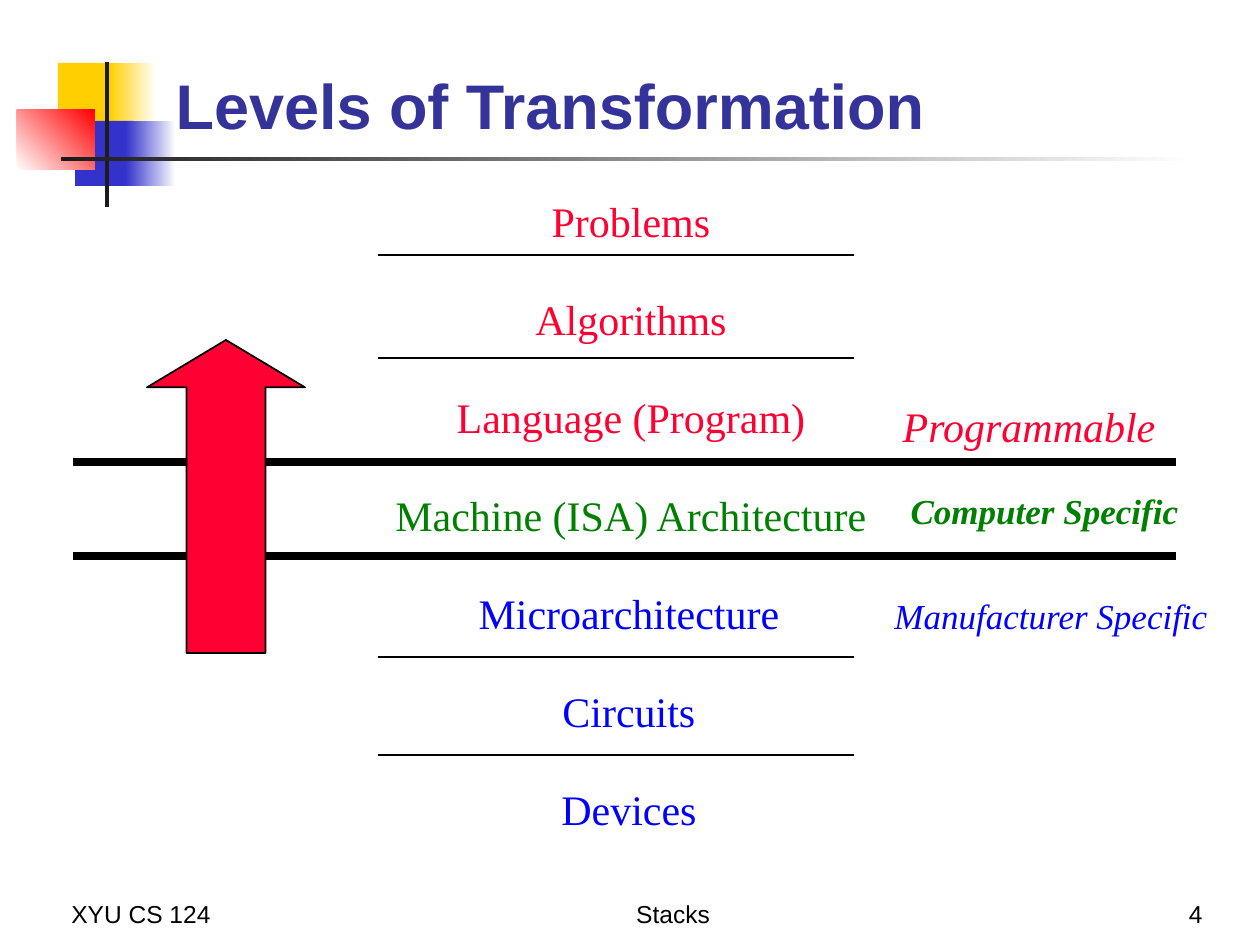
from lxml import etree
from pptx import Presentation
from pptx import util as u
from pptx.dml.color import RGBColor
from pptx.enum import shapes, text
from pptx.oxml import ns

HUES = {
    "black": "000000", "white": "FFFFFF", "gold": "FFCF01", "navy": "3333CC",
    "red": "FF0000", "ink": "1C1C1C", "title": "333399",
    "rose": "FF0033", "green": "008000", "blue": "0000FF",
}
SERIF = "Times New Roman"
LEFT, MID, RIGHT = text.PP_ALIGN.LEFT, text.PP_ALIGN.CENTER, text.PP_ALIGN.RIGHT


def px(n):
    """Turn pixels into EMU."""
    return u.Emu(round(n * 914400 / 126))


def hue(name):
    """Look up a colour by name."""
    return RGBColor.from_string(HUES[name])


def write(frame, words, size, tint, face="Arial", align=LEFT, bold=False, slant=False):
    """Put one formatted run in a text frame."""
    para = frame.paragraphs[0]
    para.alignment = align
    run = para.add_run()
    run.text = words
    font = run.font
    font.name, font.size, font.bold, font.italic = face, u.Pt(size), bold, slant
    font.color.rgb = hue(tint)


def block(slide, box, tint, end=None, angle=0):
    """Draw a plain or graded rectangle without outline."""
    shape = slide.shapes.add_shape(shapes.MSO_SHAPE.RECTANGLE, *map(px, box))
    shape.shadow.inherit = False
    shape.line.fill.background()
    if end is None:
        shape.fill.solid()
        shape.fill.fore_color.rgb = hue(tint)
        return
    shape.fill.gradient()
    shape.fill.gradient_angle = angle
    for stop, name, spot in zip(shape.fill.gradient_stops, (tint, end), (0, 1)):
        stop.color.rgb = hue(name)
        stop.position = spot


def rule(slide, left, right, y, width):
    """Draw a horizontal black line."""
    line = slide.shapes.add_connector(
        shapes.MSO_CONNECTOR.STRAIGHT, px(left), px(y), px(right), px(y))
    line.line.color.rgb = hue("black")
    line.line.width = u.Pt(width)
    etree.SubElement(line._element.spPr, ns.qn("a:effectLst"))


def label(slide, box, words, size, tint, bold=False, slant=False):
    """Add a centred serif label that fits its text."""
    frame = slide.shapes.add_textbox(*map(px, box)).text_frame
    frame.word_wrap = False
    frame.auto_size = text.MSO_AUTO_SIZE.SHAPE_TO_FIT_TEXT
    write(frame, words, size, tint, SERIF, MID, bold, slant)


def foot(slide, left, width, words, align):
    """Add a footer text at the bottom of the slide."""
    frame = slide.shapes.add_textbox(px(left), px(872), px(width), px(63)).text_frame
    frame.word_wrap = True
    frame.vertical_anchor = text.MSO_ANCHOR.BOTTOM
    write(frame, words, 14, "black", align=align)


def head(slide, words):
    """Place and fill the title."""
    title = slide.shapes.title
    title.left, title.top, title.width, title.height = map(px, (163, 28, 1074, 120))
    frame = title.text_frame
    frame.auto_size = text.MSO_AUTO_SIZE.NONE
    frame.vertical_anchor = text.MSO_ANCHOR.BOTTOM
    write(frame, words, 36, "title", bold=True)


def arrow(slide, box):
    """Draw the upward arrow across the levels."""
    shape = slide.shapes.add_shape(shapes.MSO_SHAPE.UP_ARROW, *map(px, box))
    shape.adjustments[0], shape.adjustments[1] = 0.5, 0.3
    shape.shadow.inherit = False
    shape.fill.solid()
    shape.fill.fore_color.rgb = hue("rose")
    shape.line.color.rgb = hue("black")
    shape.line.width = u.Pt(1)


def decor(slide):
    """Draw the coloured blocks and bars around the title."""
    block(slide, (58, 63, 60, 65), "gold")
    block(slide, (110, 63, 46, 65), "gold", "white")
    block(slide, (75, 121, 58, 65), "navy")
    block(slide, (126, 121, 50, 65), "navy", "white")
    block(slide, (17, 110, 78, 60), "white", "red", 45)
    block(slide, (105, 62, 4, 145), "ink")
    block(slide, (61, 157, 1134, 4), "ink", "white")


def levels(slide):
    """Stack the levels, their dividing lines and side notes."""
    rows = [
        ("Problems", 190, "rose"),
        ("Algorithms", 224, "rose"),
        ("Language (Program)", 380, "rose"),
        ("Machine (ISA) Architecture", 504, "green"),
        ("Microarchitecture", 334, "blue"),
        ("Circuits", 166, "blue"),
        ("Devices", 170, "blue"),
    ]
    for i, (words, wide, tint) in enumerate(rows):
        axis = 629 if tint == "blue" else 631
        label(slide, (axis - wide / 2, 189 + 98 * i, wide, 63), words, 24, tint)
    for y in (255, 358, 460, 657, 755):
        rule(slide, 378, 854, y, 1)
    for y in (462, 556):
        rule(slide, 73, 1176, y, 4.5)
    label(slide, (887, 394, 284, 63), "Programmable", 24, "rose", slant=True)
    label(slide, (882, 483, 325, 54), "Computer Specific", 20, "green", True, True)
    label(slide, (877, 588, 348, 54), "Manufacturer Specific", 20, "blue", slant=True)


def main():
    """Build the slide and save it."""
    deck = Presentation()
    deck.slide_width, deck.slide_height = px(1260), px(945)
    slide = deck.slides.add_slide(deck.slide_layouts[5])
    decor(slide)
    foot(slide, 59, 262, "XYU CS 124", LEFT)
    foot(slide, 350, 646, "Stacks", MID)
    foot(slide, 953, 262, "4", RIGHT)
    head(slide, "Levels of Transformation")
    levels(slide)
    arrow(slide, (147, 340, 158, 313))
    deck.save("out.pptx")


if __name__ == "__main__":
    main()
